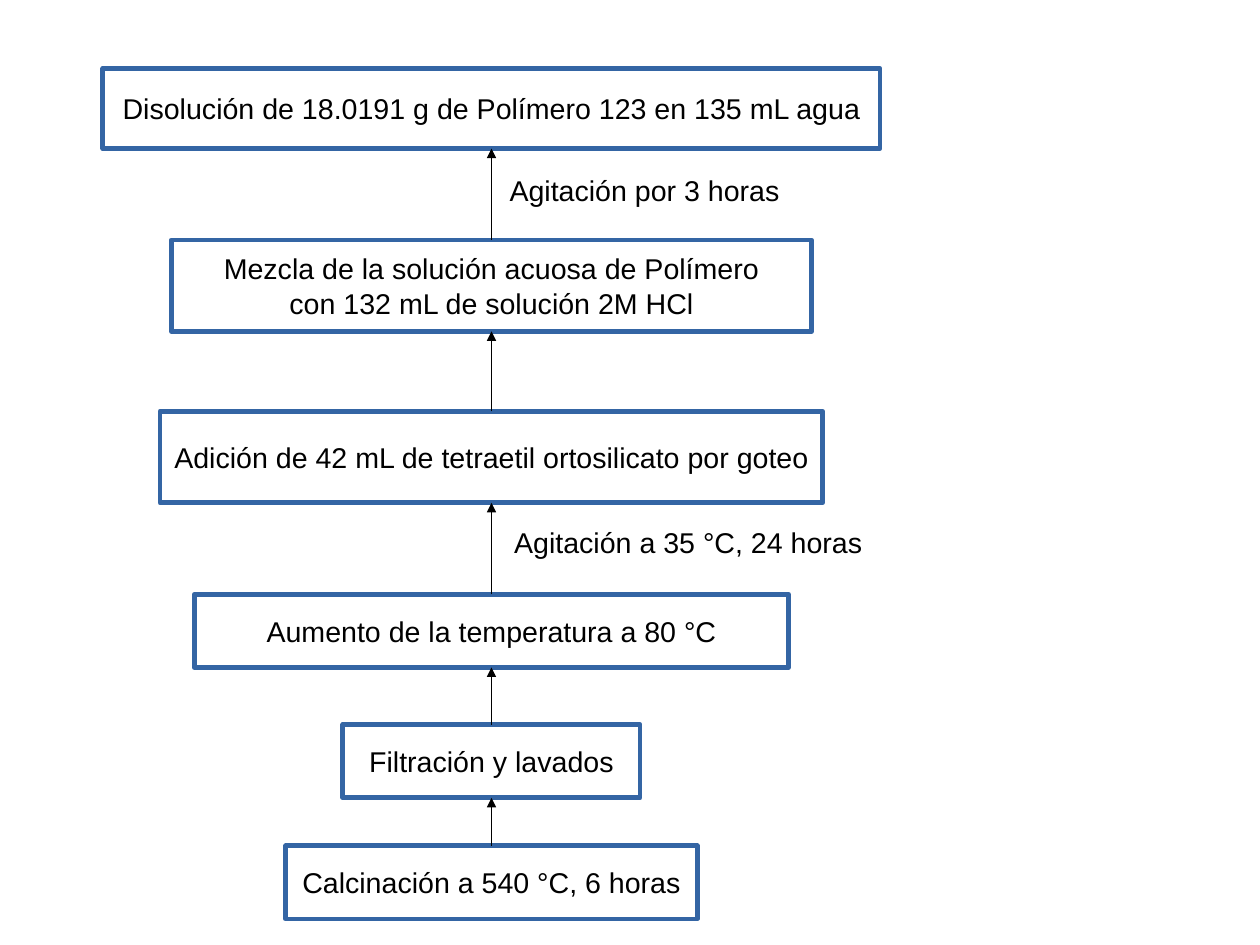
from dataclasses import dataclass
from itertools import pairwise

from lxml.etree import SubElement
from pptx import Presentation
from pptx.dml.color import RGBColor
from pptx.enum.shapes import MSO_CONNECTOR, MSO_SHAPE
from pptx.enum.text import MSO_ANCHOR, MSO_AUTO_SIZE, PP_ALIGN
from pptx.oxml.ns import qn
from pptx.shapes.autoshape import Shape
from pptx.slide import Slide
from pptx.text.text import TextFrame
from pptx.util import Pt

BLUE = RGBColor(0x34, 0x65, 0xA4)
BLACK = RGBColor(0x00, 0x00, 0x00)
FONT_NAME = "Arial"
FONT_SIZE = 18
FLOW_CENTER = 309.6


@dataclass(frozen=True)
class Step:
    top: float
    width: float
    height: float
    lines: tuple[str, ...]


@dataclass(frozen=True)
class Condition:
    left: float
    top: float
    width: float
    text: str


STEPS = (
    Step(43.2, 489.6, 50.4, ("Disolución de 18.0191 g de Polímero 123 en 135 mL agua",)),
    Step(151.2, 403.2, 57.6, ("Mezcla de la solución acuosa de Polímero",
                              "con 132 mL de solución 2M HCl")),
    Step(259.2, 417.6, 57.6, ("Adición de 42 mL de tetraetil ortosilicato por goteo",)),
    Step(374.4, 374.4, 46.08, ("Aumento de la temperatura a 80 °C",)),
    Step(456.48, 187.2, 46.08, ("Filtración y lavados",)),
    Step(532.8, 259.2, 46.08, ("Calcinación a 540 °C, 6 horas",)),
)
CONDITIONS = (
    Condition(313.92, 105.12, 184.32, "Agitación por 3 horas"),
    Condition(316.8, 326.88, 235, "Agitación a 35 °C, 24 horas"),
)


def write_lines(frame: TextFrame, lines: tuple[str, ...], alignment: PP_ALIGN) -> None:
    for index, line in enumerate(lines):
        para = frame.add_paragraph() if index else frame.paragraphs[0]
        para.alignment = alignment
        span = para.add_run()
        span.text = line
        span.font.name = FONT_NAME
        span.font.size = Pt(FONT_SIZE)
        span.font.color.rgb = BLACK


def add_step(page: Slide, step: Step) -> Shape:
    box = page.shapes.add_shape(
        MSO_SHAPE.RECTANGLE, Pt(FLOW_CENTER - step.width / 2), Pt(step.top),
        Pt(step.width), Pt(step.height))
    box.shadow.inherit = False
    box.fill.background()
    box.line.color.rgb = BLUE
    box.line.width = Pt(3)
    frame = box.text_frame
    frame.word_wrap = False
    frame.vertical_anchor = MSO_ANCHOR.MIDDLE
    frame.margin_left = frame.margin_right = Pt(8.64)
    frame.margin_top = frame.margin_bottom = Pt(5.04)
    write_lines(frame, step.lines, PP_ALIGN.CENTER)
    return box


def add_condition(page: Slide, condition: Condition) -> None:
    box = page.shapes.add_textbox(
        Pt(condition.left), Pt(condition.top), Pt(condition.width), Pt(27.36))
    frame = box.text_frame
    frame.word_wrap = False
    frame.auto_size = MSO_AUTO_SIZE.SHAPE_TO_FIT_TEXT
    write_lines(frame, (condition.text,), PP_ALIGN.LEFT)


def add_arrow(page: Slide, lower: Shape, upper: Shape) -> None:
    """Point from the top of the lower box to the bottom of the upper one."""
    arrow = page.shapes.add_connector(MSO_CONNECTOR.STRAIGHT, 0, 0, 0, 0)
    arrow.begin_connect(lower, 0)
    arrow.end_connect(upper, 2)
    arrow.line.color.rgb = BLACK
    properties = arrow._element.spPr
    line = properties.find(qn("a:ln"))
    line.set("w", "0")  # hairline: the width setter drops a zero
    SubElement(line, qn("a:tailEnd"), type="triangle")
    SubElement(properties, qn("a:effectLst"))


def main() -> None:
    deck = Presentation()
    deck.slide_width = Pt(793.7)
    deck.slide_height = Pt(595.28)
    page = deck.slides.add_slide(deck.slide_layouts[6])
    boxes = [add_step(page, step) for step in STEPS]
    for upper, lower in pairwise(boxes):
        add_arrow(page, lower, upper)
    for condition in CONDITIONS:
        add_condition(page, condition)
    deck.save("out.pptx")


if __name__ == "__main__":
    main()
